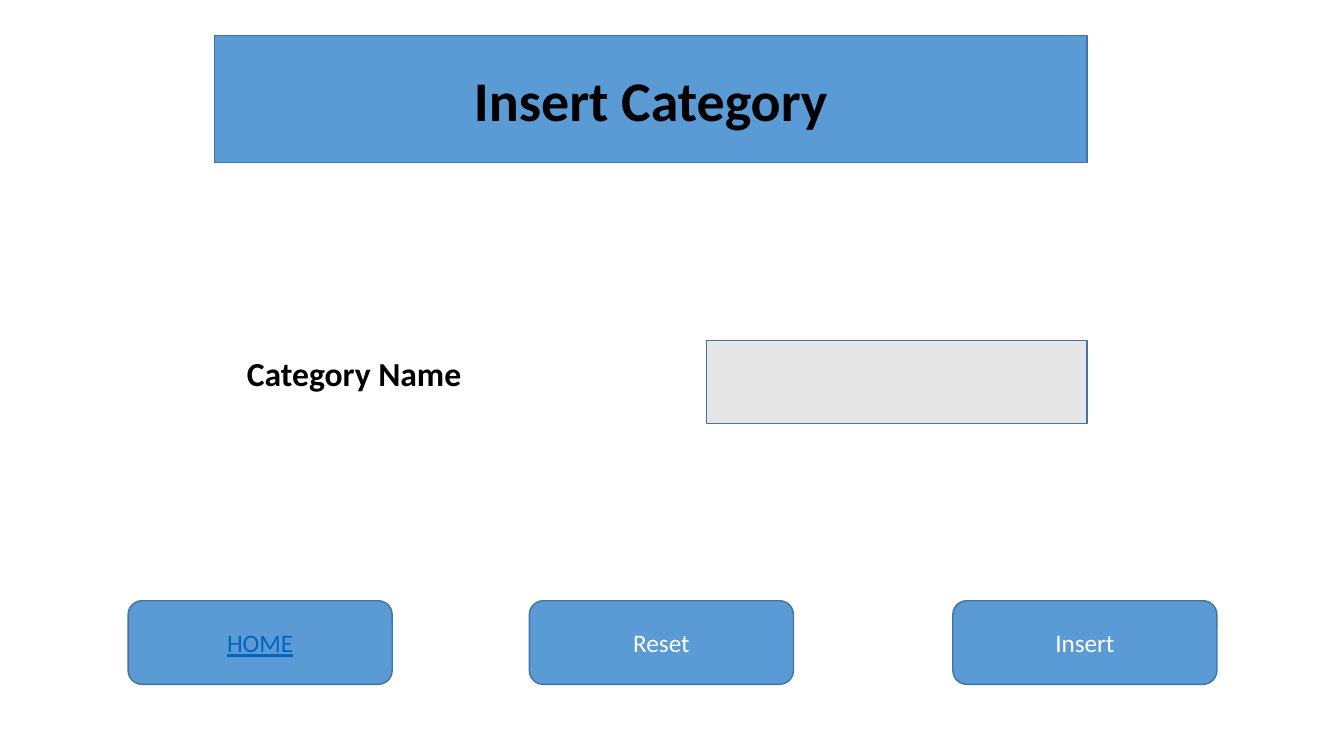
from pptx import Presentation
from pptx.dml.color import RGBColor
from pptx.enum.shapes import MSO_SHAPE
from pptx.enum.text import MSO_ANCHOR, MSO_AUTO_SIZE, PP_ALIGN
from pptx.util import Inches, Pt

RECTANGLE = MSO_SHAPE.RECTANGLE
ROUNDED = MSO_SHAPE.ROUNDED_RECTANGLE
MIDDLE = MSO_ANCHOR.MIDDLE
CENTER = PP_ALIGN.CENTER
NO_AUTOFIT = MSO_AUTO_SIZE.NONE

BLUE = RGBColor(0x5B, 0x9B, 0xD5)
OUTLINE = RGBColor(0x43, 0x73, 0x9E)
GRAY = RGBColor(0xE7, 0xE6, 0xE6)
LINK = RGBColor(0x05, 0x63, 0xC1)
BLACK = RGBColor(0, 0, 0)
WHITE = RGBColor(0xFF, 0xFF, 0xFF)

FORM_RIGHT = 10.78
BUTTON_TOP, BUTTON_WIDTH, BUTTON_HEIGHT = 5.96, 2.62, 0.83


def paint(box, color):
    box.fill.solid()
    box.fill.fore_color.rgb = color
    box.line.color.rgb = OUTLINE
    box.line.width = Pt(1)


def write(box, text, size, color, bold=False):
    frame = box.text_frame
    frame.text = text
    frame.word_wrap = True
    frame.auto_size = NO_AUTOFIT
    para = frame.paragraphs[0]
    para.font.name = "Calibri"
    para.font.size = Pt(size)
    para.font.bold = bold
    para.font.color.rgb = color
    return para


deck = Presentation()
deck.slide_width = Inches(13.33)
deck.slide_height = Inches(7.5)
page = deck.slides.add_slide(deck.slide_layouts[5])

title = page.shapes.title
title.left, title.top = Inches(2.13), Inches(0.35)
title.width, title.height = Inches(FORM_RIGHT - 2.13), Inches(1.26)
paint(title, BLUE)
write(title, "Insert Category", 40, BLACK, bold=True).alignment = CENTER
title.text_frame.vertical_anchor = MIDDLE

label = page.shapes.add_textbox(Inches(2.35), Inches(3.45), Inches(2.48), Inches(0.5))
write(label, "Category Name", 24, BLACK, bold=True)

name_field = page.shapes.add_shape(
    RECTANGLE, Inches(7.01), Inches(3.38), Inches(FORM_RIGHT - 7.01), Inches(0.82))
name_field.shadow.inherit = False
paint(name_field, GRAY)

for caption, left, color in (("HOME", 1.27, LINK), ("Reset", 5.25, WHITE), ("Insert", 9.45, WHITE)):
    button = page.shapes.add_shape(
        ROUNDED, Inches(left), Inches(BUTTON_TOP), Inches(BUTTON_WIDTH), Inches(BUTTON_HEIGHT))
    button.shadow.inherit = False
    paint(button, BLUE)
    para = write(button, caption, 18, color)
    para.alignment = CENTER
    para.font.underline = color == LINK
    button.text_frame.vertical_anchor = MIDDLE

deck.save("out.pptx")
